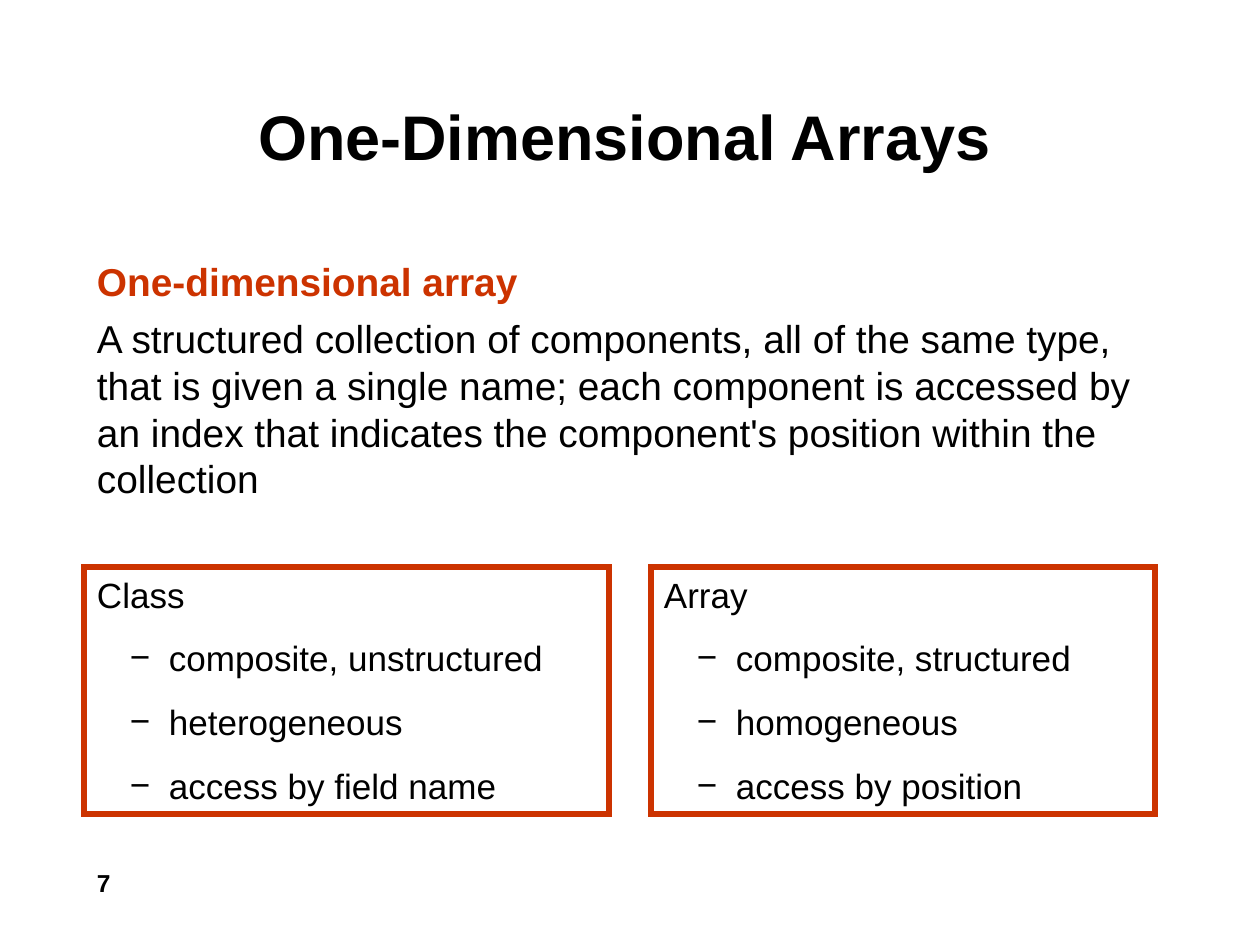
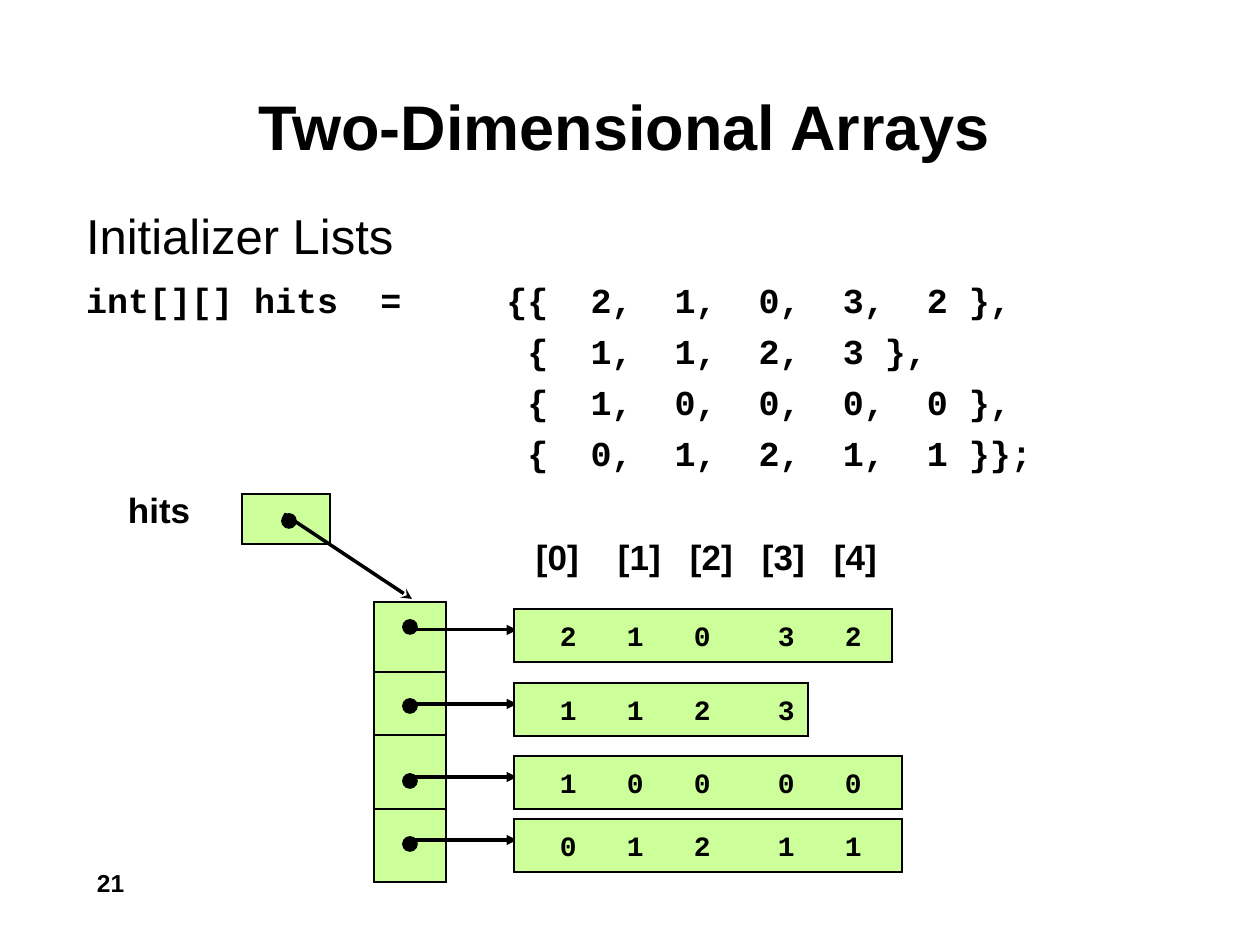
from lxml.etree import SubElement
from pptx import Presentation
from pptx.dml.color import RGBColor
from pptx.enum.shapes import MSO_CONNECTOR, MSO_SHAPE
from pptx.enum.text import MSO_ANCHOR, PP_ALIGN
from pptx.oxml.ns import qn
from pptx.util import Pt

PX = 7257
BLACK, RUST, LIME = "000000", "CC3300", "CCFF99"
color = RGBColor.from_string


def write(shape, text, size=20, font="Arial", ink=BLACK, bold=False, align=PP_ALIGN.LEFT,
          anchor=MSO_ANCHOR.TOP, before=0, bullet=None, tabs=(), left=13, right=13, more=False):
    frame = shape.text_frame
    frame.word_wrap = True
    frame.vertical_anchor = anchor
    frame.margin_left, frame.margin_right = left * PX, right * PX
    frame.margin_top = frame.margin_bottom = 6 * PX
    paragraph = frame.add_paragraph() if more else frame.paragraphs[0]
    paragraph.alignment = align
    paragraph.space_before = Pt(before)
    properties = paragraph._p.get_or_add_pPr()
    if bullet:
        properties.set("marL", str(72 * PX))
        properties.set("indent", str(-39 * PX))
        SubElement(properties, qn("a:buFont"), typeface=font)
        SubElement(properties, qn("a:buChar"), char=bullet)
    if tabs:
        stops = SubElement(properties, qn("a:tabLst"))
        for stop in tabs:
            SubElement(stops, qn("a:tab"), pos=str(stop * PX), algn="l")
    run = paragraph.add_run()
    run.text = text
    run.font.size = Pt(size)
    run.font.name = font
    run.font.bold = bold
    run.font.color.rgb = color(ink)


def draw(slide, kind, x, y, width, height, fill=None, line=BLACK, weight=1):
    shape = slide.shapes.add_shape(kind, x * PX, y * PX, width * PX, height * PX)
    shape.shadow.inherit = False
    if fill:
        shape.fill.solid()
        shape.fill.fore_color.rgb = color(fill)
    else:
        shape.fill.background()
    shape.line.color.rgb = color(line)
    shape.line.width = Pt(weight)
    SubElement(shape.line._get_or_add_ln(), qn("a:miter"), lim="800000")
    return shape


deck = Presentation()
deck.slide_width, deck.slide_height = 1260 * PX, 945 * PX

slides = []
for title, title_top, number in [("One-Dimensional Arrays", 84, "7"),
                                 ("Two-Dimensional Arrays", 74, "21")]:
    slide = deck.slides.add_slide(deck.slide_layouts[6])
    heading = slide.shapes.add_textbox(84 * PX, title_top * PX, 1081 * PX, 95 * PX)
    write(heading, title, size=36, bold=True, align=PP_ALIGN.CENTER, anchor=MSO_ANCHOR.BOTTOM)
    page_number = slide.shapes.add_textbox(84 * PX, 851 * PX, 84 * PX, 63 * PX)
    write(page_number, number, size=14, bold=True, anchor=MSO_ANCHOR.MIDDLE)
    slides.append(slide)
one_dimensional, two_dimensional = slides

definition = one_dimensional.shapes.add_textbox(84 * PX, 252 * PX, 1081 * PX, 273 * PX)
write(definition, "One-dimensional array", size=22.2, ink=RUST, bold=True)
write(definition, "A structured collection of components, all of the same type, that is given "
      "a single name; each component is accessed by an index that indicates the component's "
      "position within the collection", size=22.2, before=6, more=True)

for x, width, term, traits in [
    (84, 525, "Class", ["composite, unstructured", "heterogeneous", "access by field name"]),
    (651, 504, "Array", ["composite, structured", "homogeneous", "access by position"]),
]:
    comparison = draw(one_dimensional, MSO_SHAPE.RECTANGLE, x, 567, width, 247,
                      line=RUST, weight=3)
    write(comparison, term)
    for trait in traits:
        write(comparison, trait, before=12.5, bullet="−", more=True)

subtitle = two_dimensional.shapes.add_textbox(73 * PX, 199 * PX, 966 * PX, 72 * PX)
write(subtitle, "Initializer Lists", size=28)

code = two_dimensional.shapes.add_textbox(73 * PX, 273 * PX, 1103 * PX, 215 * PX)
for index, code_line in enumerate([
    "int[][] hits  =     {{  2,  1,  0,  3,  2 },",
    "                     {  1,  1,  2,  3 },",
    "                     {  1,  0,  0,  0,  0 },",
    "                     {  0,  1,  2,  1,  1 }};",
]):
    write(code, code_line, font="Courier New", bold=True,
          before=5 if index else 0, more=index > 0)

variable = two_dimensional.shapes.add_textbox(115 * PX, 483 * PX, 105 * PX, 55 * PX)
write(variable, "hits", bold=True)
indices = two_dimensional.shapes.add_textbox(514 * PX, 529 * PX, 396 * PX, 54 * PX)
write(indices, "[0]\t[1]\t[2]\t[3]\t[4]", bold=True, left=22, right=0, tabs=(82, 154, 226, 298))

rows = [
    (609, 378, 627, "21032"),
    (683, 294, 706, "1123"),
    (756, 388, 781, "10000"),
    (819, 388, 844, "01211"),
]
draw(two_dimensional, MSO_SHAPE.RECTANGLE, 374, 602, 72, 280, LIME)
draw(two_dimensional, MSO_SHAPE.RECTANGLE, 242, 494, 88, 50, LIME)

links = [(373, y, 446, y, 1, None) for y in (672, 735, 809)]
links += [(412, top + 21, 517, top + 21, 1.75, "triangle") for top, *_ in rows]
links.append((284, 514, 412, 599, 2, "stealth"))
for x1, y1, x2, y2, weight, arrowhead in links:
    link = two_dimensional.shapes.add_connector(
        MSO_CONNECTOR.STRAIGHT, x1 * PX, y1 * PX, x2 * PX, y2 * PX)
    link.line.color.rgb = color(BLACK)
    link.line.width = Pt(weight)
    if arrowhead:
        SubElement(link.line._get_or_add_ln(), qn("a:tailEnd"), type=arrowhead)
    SubElement(link._element.spPr, qn("a:effectLst"))

for x, y in [(289, 521)] + [(410, dot_y) for _, _, dot_y, _ in rows]:
    draw(two_dimensional, MSO_SHAPE.OVAL, x - 7, y - 7, 14, 14, BLACK)

for index, (top, width, _, values) in enumerate(rows):
    kind = MSO_SHAPE.RECTANGLE if index else MSO_SHAPE.FLOWCHART_PROCESS
    row = draw(two_dimensional, kind, 514, top, width, 53, LIME)
    write(row, "\t".join(values), size=16, font="Courier New", bold=True,
          anchor=MSO_ANCHOR.MIDDLE, left=46, right=0, tabs=(67, 134, 218, 285))

deck.save("out.pptx")
